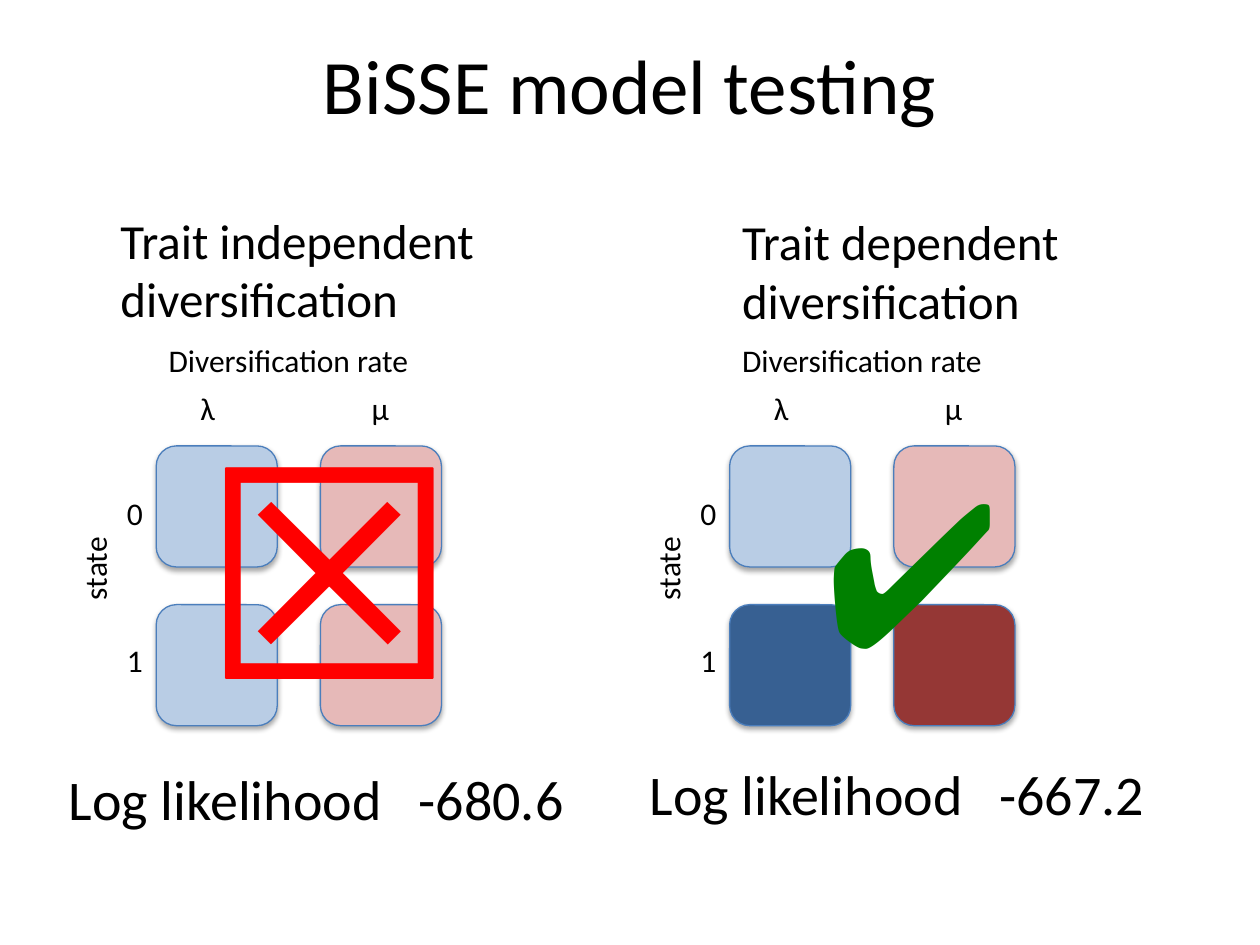
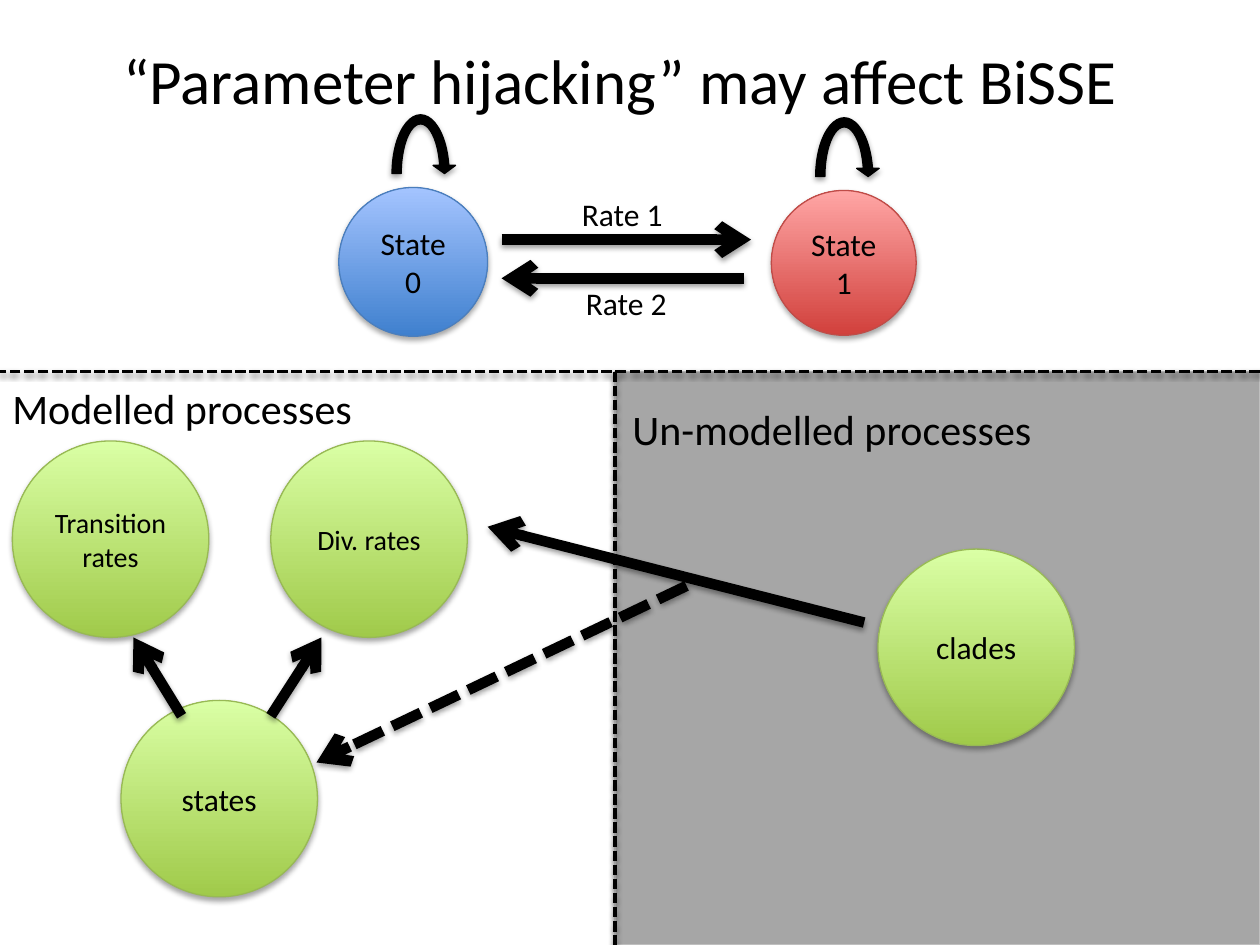
from lxml.etree import SubElement as Sub
from pptx import Presentation
from pptx.dml.color import RGBColor as Rgb
from pptx.enum.dml import MSO_LINE as Dash
from pptx.enum.shapes import MSO_CONNECTOR as Link, MSO_SHAPE as Form
from pptx.enum.text import MSO_ANCHOR as Anchor, MSO_AUTO_SIZE as Auto, PP_ALIGN as Align
from pptx.oxml.ns import qn
from pptx.util import Cm, Pt


class Theme:
    font, sign = "Calibri", "Arial"
    black, green, red = "000000", "008000", "FF0000"
    edge, gray, rim = "4B7EBC", "A6A6A6", "BFBFBF"
    pale, pink, navy, wine = "B9CDE5", "E6B9B8", "376092", "953735"
    lime = ("A0CA4A", "DAFFA5", "98B955")
    rose = ("D1403C", "FFA6A5", "BF4C48")
    blue = ("3F80CE", "A4C4FF", "4B7EBC")
    title, lead, log, head, zone, body, small = 44, 36, 32, 28, 24, 18, 16
    tick, cross = 115, 166
    hair, dash, thick = 0.75, 2, 6


T = Theme
TILE, STEP, TOP = 2.44, (3.31, 3.2), 8.99
LINE = 1.02

PANELS = [
    {"left": 3.15,
     "head": ("Trait independent diversification", 2.18, 4.11),
     "tiles": [[T.pale, T.pink], [T.pale, T.pink]],
     "log": ("Log likelihood\t-680.6", 1.14, 15.29),
     "mark": ("☒", (3.78, 7.72, 4.7, 7.34), T.cross, T.red)},
    {"left": 14.71,
     "head": ("Trait dependent diversification", 14.71, 4.14),
     "tiles": [[T.pale, T.pink], [T.navy, T.wine]],
     "log": ("Log likelihood\t-667.2", 12.85, 15.19),
     "mark": ("✔", (16.38, 8.86, 6.15, 5.18), T.tick, T.green)},
]
TAGS = [
    ("Diversification rate", 0, 6.76, 5.44, 0),
    ("λ", 0.64, 7.72, 0.81, 0),
    ("μ", 4.09, 7.72, 0.86, 0),
    ("0", -0.84, 9.83, 0.84, 0),
    ("1", -0.84, 12.8, 0.84, 0),
    ("state", -2.16, 10.92, 1.83, 270),
]

SPLIT = (12.4, 7.49)
BALLS = [
    ("Transition rates", 0.25, 8.89, 3.96, T.lime, T.small),
    ("Div. rates", 5.46, 8.89, 3.96, T.lime, T.small),
    ("states", 2.44, 14.12, 3.96, T.lime, T.body),
    ("clades", 17.7, 11.07, 3.96, T.lime, T.body),
    ("State 0", 6.83, 3.78, 3, T.blue, T.body),
    ("State 1", 15.55, 3.84, 2.92, T.rose, T.body),
]
ARROWS = [
    (3.66, 14.43, 2.69, 12.85, None),
    (5.46, 14.43, 6.48, 12.85, None),
    (17.42, 12.55, 9.83, 10.62, None),
    (13.84, 11.81, 6.38, 15.37, Dash.SQUARE_DOT),
    (10.11, 4.83, 15.14, 4.83, None),
    (14.99, 5.61, 10.11, 5.61, None),
]
NOTES = [
    ("Modelled processes", 0, 7.59, 7.44, 1.27, T.zone),
    ("Un-modelled processes", 12.5, 8, 8.64, 1.27, T.zone),
    ("Rate 1", 11.48, 3.81, 2.16, LINE, T.body),
    ("Rate 2", 11.56, 5.61, 2.16, LINE, T.body),
]
LOOPS = [(7.77, 2.18), (16.31, 2.24)]
BEND = (0.13, 11.42, 204.58, 108, 0.16)


def put(item, **vals):
    for name, val in vals.items():
        setattr(item, name, val)


def shade(item, dist=23000, alpha=35000):
    root = Sub(item.element.spPr, qn("a:effectLst"))
    cast = Sub(root, qn("a:outerShdw"), blurRad="40000", dist=str(dist),
               dir="5400000", rotWithShape="0")
    tint = Sub(cast, qn("a:srgbClr"), val=T.black)
    Sub(tint, qn("a:alpha"), val=str(alpha))


def write(item, text, size, color=T.black, font=T.font, align=Align.LEFT, tab=None, **frame):
    put(item.text_frame, **frame)
    para = item.text_frame.paragraphs[0]
    para.text = text
    para.alignment = align
    if tab:
        tabs = Sub(para._p.get_or_add_pPr(), qn("a:tabLst"))
        Sub(tabs, qn("a:tab"), pos=str(Cm(tab)), algn="l")
    for run in para.runs:
        put(run.font, size=Pt(size), name=font)
        run.font.color.rgb = Rgb.from_string(color)


def label(page, text, box, size, turn=0, wrap=False, **look):
    item = page.shapes.add_textbox(*map(Cm, box))
    item.rotation = turn
    look = {"auto_size": Auto.SHAPE_TO_FIT_TEXT, **look}
    write(item, text, size, word_wrap=wrap, **look)


def title(page, text, box, size):
    label(page, text, box, size, wrap=True, align=Align.CENTER,
          auto_size=Auto.NONE, vertical_anchor=Anchor.MIDDLE)


def block(page, form, box, fill, edge, bend=()):
    item = page.shapes.add_shape(form, *map(Cm, box))
    for spot, val in enumerate(bend):
        item.adjustments[spot] = val
    if isinstance(fill, tuple):
        item.fill.gradient()
        item.fill.gradient_angle = 90
        for stop, tone in zip(item.fill.gradient_stops, fill):
            stop.color.rgb = Rgb.from_string(tone)
    else:
        item.fill.solid()
        item.fill.fore_color.rgb = Rgb.from_string(fill)
    item.line.color.rgb = Rgb.from_string(edge)
    item.line.width = Pt(T.hair)
    shade(item)
    return item


def stroke(page, ends, width, dash=None, tip=False):
    item = page.shapes.add_connector(Link.STRAIGHT, *map(Cm, ends))
    item.line.color.rgb = Rgb.from_string(T.black)
    put(item.line, width=Pt(width), dash_style=dash)
    if tip:
        Sub(item.element.spPr.find(qn("a:ln")), qn("a:tailEnd"), type="arrow")
    shade(item, 20000, 38000)


def test(page):
    title(page, "BiSSE model testing", (1.27, 0.1, 22.86, 3.18), T.title)
    for panel in PANELS:
        left = panel["left"]
        for row, fills in enumerate(panel["tiles"]):
            for col, fill in enumerate(fills):
                box = (left + col * STEP[0], TOP + row * STEP[1], TILE, TILE)
                block(page, Form.ROUNDED_RECTANGLE, box, fill, T.edge)
        for text, x, y, wide, turn in TAGS:
            label(page, text, (left + x, y, wide, LINE), T.body, turn)
        text, x, y = panel["head"]
        label(page, text, (x, y, 9.19, 2.64), T.head, wrap=True)
        text, x, y = panel["log"]
        label(page, text, (x, y, 10.8, 1.63), T.log, wrap=True, tab=7.05)
        text, box, size, color = panel["mark"]
        label(page, text, box, size, wrap=True, color=color, font=T.sign)


def hijack(page, wide, high):
    x, y = SPLIT
    block(page, Form.RECTANGLE, (x, y, wide - x, high - y), T.gray, T.rim)
    title(page, "“Parameter hijacking” may affect BiSSE", (0.25, 0, 24.51, 3.18), T.lead)
    for ends in [(x, y, x, high), (wide, y, 0, y)]:
        stroke(page, ends, T.dash, Dash.SQUARE_DOT)
    for text, x, y, side, (low, top, edge), size in BALLS:
        ball = block(page, Form.OVAL, (x, y, side, side), (low, top), edge)
        write(ball, text, size, align=Align.CENTER, word_wrap=True,
              vertical_anchor=Anchor.MIDDLE)
    for *ends, dash in ARROWS:
        stroke(page, ends, T.thick, dash, True)
    for text, *box, size in NOTES:
        label(page, text, box, size)
    for x, y in LOOPS:
        block(page, Form.CIRCULAR_ARROW, (x, y, 1.42, 2.64), T.black, T.black, BEND)


def main():
    deck = Presentation()
    wide, high = 25.4, 19.05
    put(deck, slide_width=Cm(wide), slide_height=Cm(high))
    blank = deck.slide_layouts[6]
    test(deck.slides.add_slide(blank))
    hijack(deck.slides.add_slide(blank), wide, high)
    deck.save("out.pptx")


if __name__ == "__main__":
    main()
